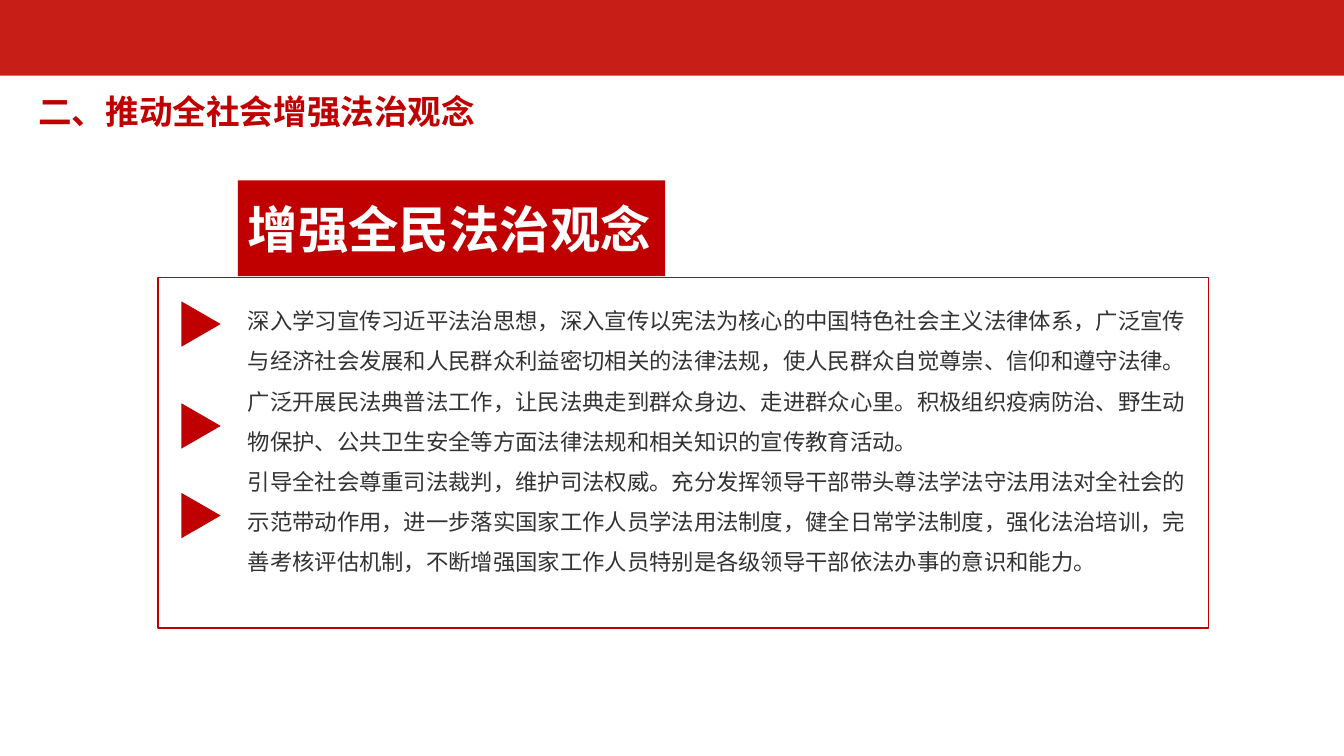
"""Build the slide on strengthening the public's awareness of the rule of law."""
from pptx import Presentation
from pptx.dml.color import RGBColor
from pptx.enum import shapes, text
from pptx.oxml import ns
from pptx.util import Pt
from lxml import etree

FONT = "Noto Sans CJK SC"
BAND_RED, RED, WHITE, GREY = "C71E18", "C00000", "FFFFFF", "333333"
TITLE = "二、推动全社会增强法治观念"
BANNER = "增强全民法治观念"
POINTS = [
    "深入学习宣传习近平法治思想，深入宣传以宪法为核心的中国特色社会主义法律体系，广泛宣传与经济社会发展和人民群众利益密切相关的法律法规，使人民群众自觉尊崇、信仰和遵守法律。",
    "广泛开展民法典普法工作，让民法典走到群众身边、走进群众心里。积极组织疫病防治、野生动物保护、公共卫生安全等方面法律法规和相关知识的宣传教育活动。",
    "引导全社会尊重司法裁判，维护司法权威。充分发挥领导干部带头尊法学法守法用法对全社会的示范带动作用，进一步落实国家工作人员学法用法制度，健全日常学法制度，强化法治培训，完善考核评估机制，不断增强国家工作人员特别是各级领导干部依法办事的意识和能力。",
]
WIDTH, HEIGHT = 960, 540
TEXT_LEFT = 169.9
ARROW_LEFT, ARROW_BASE, ARROW_HEIGHT = 127.4, 32.4, 28.1
ARROW_TOPS = [217.4, 290.2, 354.2]


def color(value):
    return RGBColor.from_string(value)


def write(shape, paragraphs, *, size, fill, bold=False, spacing=1.0,
          anchor=text.MSO_ANCHOR.TOP, wrap=True):
    frame = shape.text_frame
    frame.word_wrap = wrap
    frame.auto_size = text.MSO_AUTO_SIZE.NONE
    frame.vertical_anchor = anchor
    frame.margin_left = frame.margin_right = Pt(7.2)
    frame.margin_top = frame.margin_bottom = Pt(3.6)
    frame.text = "\n".join(paragraphs)
    for paragraph in frame.paragraphs:
        paragraph.alignment = text.PP_ALIGN.LEFT
        paragraph.line_spacing = spacing
        paragraph.space_before = Pt(0)
        font = paragraph.runs[0].font
        font.name, font.size, font.bold = FONT, Pt(size), bold
        font.color.rgb = color(fill)
        east_asian = etree.Element(ns.qn("a:ea"), typeface=FONT)
        font._element.find(ns.qn("a:latin")).addnext(east_asian)


def add_shape(slide, kind, left, top, width, height, fill=None, line=None):
    shape = slide.shapes.add_shape(kind, Pt(left), Pt(top), Pt(width), Pt(height))
    shape.shadow.inherit = False
    if fill:
        shape.fill.solid()
        shape.fill.fore_color.rgb = color(fill)
    else:
        shape.fill.background()
    if line:
        shape.line.color.rgb = color(line)
        shape.line.width = Pt(1)
    else:
        shape.line.fill.background()
    return shape


def main():
    presentation = Presentation()
    presentation.slide_width, presentation.slide_height = Pt(WIDTH), Pt(HEIGHT)
    slide = presentation.slides.add_slide(presentation.slide_layouts[5])
    rectangle = shapes.MSO_SHAPE.RECTANGLE

    add_shape(slide, rectangle, 0, 0, WIDTH, 54, fill=BAND_RED)

    title = slide.shapes.title
    title.left, title.top, title.width, title.height = Pt(20.2), Pt(61.4), Pt(330), Pt(42)
    write(title, [TITLE], size=24, fill=RED, bold=True, wrap=False)

    body = slide.shapes.add_textbox(Pt(TEXT_LEFT), Pt(206.6), Pt(689), Pt(299.5))
    write(body, POINTS, size=16, fill=GREY, spacing=Pt(28.7))

    banner = add_shape(slide, rectangle, TEXT_LEFT, 128.9, 305.3, 68.4, fill=RED)
    write(banner, [BANNER], size=36, fill=WHITE, bold=True,
          anchor=text.MSO_ANCHOR.MIDDLE)
    add_shape(slide, rectangle, 113, 198, 750.2, 250.6, line=RED)

    for top in ARROW_TOPS:
        arrow = add_shape(slide, shapes.MSO_SHAPE.ISOSCELES_TRIANGLE,
                          ARROW_LEFT, top, ARROW_BASE, ARROW_HEIGHT, fill=RED)
        arrow.rotation = 90

    presentation.save("out.pptx")


if __name__ == "__main__":
    main()
